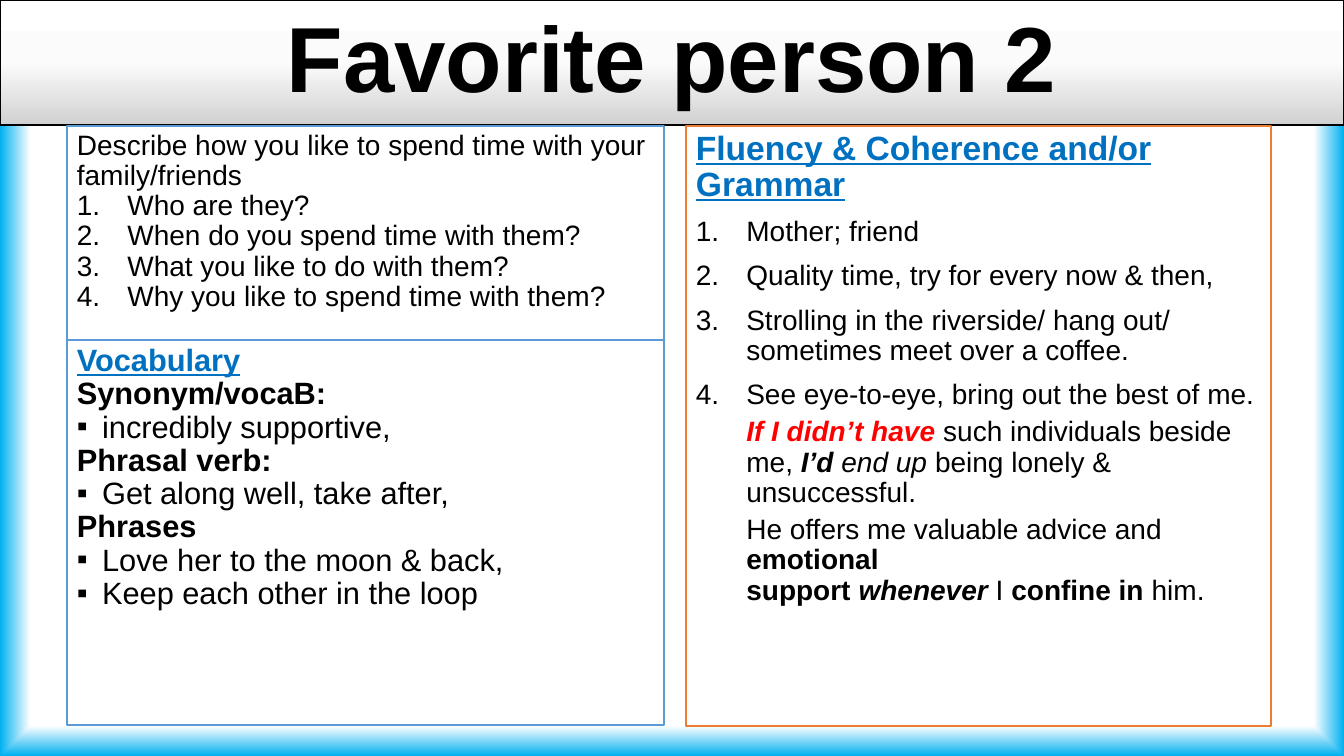
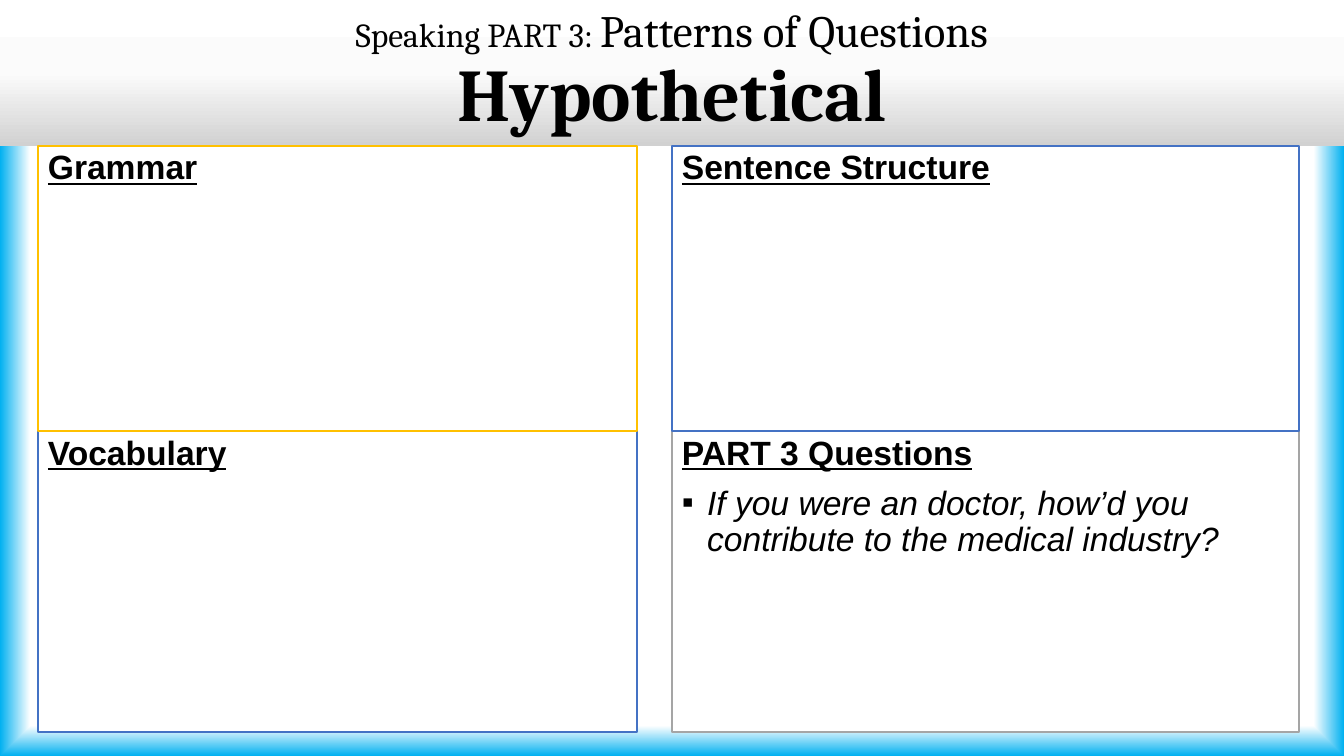
from lxml import etree
from pptx import Presentation
from pptx import util as u
from pptx.dml.color import RGBColor
from pptx.enum import shapes, text
from pptx.oxml.ns import qn

PX = 914400 / 100.8
W, H = 1344, 756
BLACK, WHITE, BLUE, RED = "000000", "FFFFFF", "0070C0", "FF0000"
SKY, ORANGE, GOLD, NAVY, GRAY = "5B9BD5", "ED7D31", "FFC000", "4472C4", "A5A5A5"
EDGE_GLOW = [(92, WHITE), (100, "00B0F0")]
BAND_FADE = [(0, WHITE), (50, "FBFBFB"), (100, "D1D1D1")]

INDENTS = {"plain": (0, 0), "number": (50, -50), "square": (25, -25), "inset": (50, 0)}
HEADING = dict(bold=True, underline=True)


def heading(label, size=24, color=BLACK):
    return "plain", [(label, dict(HEADING, size=size, color=color))]


def listing(kind, *lines, **fmt):
    return [(kind, [(line, fmt)]) for line in lines]


B, I, BI = dict(bold=True), dict(italic=True), dict(bold=True, italic=True)

SLIDES = [
    dict(
        band=dict(height=125, line=BLACK, runs=[("Favorite person 2", dict(size=66, bold=True))]),
        panels=[
            dict(box=(67, 126, 597, 214), line=SKY, size=20, before=0, paragraphs=[
                *listing("plain", "Describe how you like to spend time with your family/friends"),
                *listing("number", "Who are they?", "When do you spend time with them?",
                         "What you like to do with them?", "Why you like to spend time with them?"),
            ]),
            dict(box=(686, 126, 585, 600), line=ORANGE, size=20, before=10, paragraphs=[
                heading("Fluency & Coherence and/or Grammar", color=BLUE),
                *listing("number", "Mother; friend", "Quality time, try for every now & then,",
                         "Strolling in the riverside/ hang out/ sometimes meet over a coffee.",
                         "See eye-to-eye, bring out the best of me."),
                ("inset", [("If I didn’t have ", dict(BI, color=RED)),
                           ("such individuals beside me, ", {}), ("I’d ", BI),
                           ("end up ", I), ("being lonely & unsuccessful.", {})]),
                ("inset", [("He offers me valuable advice and ", {}),
                           ("emotional\nsupport ", B), ("whenever", BI), (" I ", {}),
                           ("confine in ", B), ("him.", {})]),
            ]),
            dict(box=(67, 340, 597, 385), line=SKY, size=22, before=0, paragraphs=[
                heading("Vocabulary", 22, BLUE),
                *listing("plain", "Synonym/vocaB:", bold=True),
                *listing("square", "incredibly supportive,"),
                *listing("plain", "Phrasal verb:", bold=True),
                *listing("square", "Get along well, take after,"),
                *listing("plain", "Phrases", bold=True),
                *listing("square", "Love her to the moon & back,", "Keep each other in the loop"),
            ]),
        ],
    ),
    dict(
        band=dict(height=146, line=None, font="Cambria", runs=[
            ("Speaking PART 3: ", dict(size=24)),
            ("Patterns of Questions\n", dict(size=32)),
            ("Hypothetical", dict(size=53, bold=True)),
        ]),
        panels=[
            dict(box=(38, 431, 599, 301), line=NAVY, paragraphs=[heading("Vocabulary")]),
            dict(box=(672, 431, 627, 301), line=GRAY, paragraphs=[
                heading("PART 3 Questions"),
                *listing("square", "If you were an doctor, how’d you contribute to the medical industry?",
                         italic=True),
            ]),
            dict(box=(38, 146, 599, 285), line=GOLD, paragraphs=[heading("Grammar")]),
            dict(box=(672, 146, 627, 285), line=NAVY, paragraphs=[heading("Sentence Structure")]),
        ],
    ),
]


def px(n):
    return u.Emu(round(n * PX))


def rgb(value):
    return RGBColor.from_string(value)


def set_gradient(fill, owner, stops, angle=None):
    fill.gradient()
    grad = next(owner.iter(qn("a:gradFill")))
    for child in list(grad):
        grad.remove(child)
    stop_list = etree.SubElement(grad, qn("a:gsLst"))
    for position, color in stops:
        stop = etree.SubElement(stop_list, qn("a:gs"), pos=str(position * 1000))
        etree.SubElement(stop, qn("a:srgbClr"), val=color)
    if angle is None:
        shade = etree.SubElement(grad, qn("a:path"), path="rect")
        etree.SubElement(shade, qn("a:fillToRect"), {side: "50000" for side in "ltrb"})
    else:
        etree.SubElement(grad, qn("a:lin"), ang=str(angle * 60000), scaled="0")


def add_text(p, content, size=20, color=BLACK, font="Arial", bold=False, italic=False, underline=False):
    for i, line in enumerate(content.split("\n")):
        if i:
            p.add_line_break()
        if line:
            r = p.add_run()
            r.text = line
            f = r.font
            f.size, f.name, f.bold, f.italic, f.underline = u.Pt(size), font, bold, italic, underline
            f.color.rgb = rgb(color)


def set_bullet(p, kind):
    pPr = p._p.get_or_add_pPr()
    left, first = INDENTS[kind]
    pPr.set("marL", str(u.Inches(left / 100)))
    pPr.set("indent", str(u.Inches(first / 100)))
    if kind == "number":
        etree.SubElement(pPr, qn("a:buFont"), typeface="+mj-lt")
        etree.SubElement(pPr, qn("a:buAutoNum"), type="arabicPeriod")
    elif kind == "square":
        etree.SubElement(pPr, qn("a:buFont"), typeface="Arial")
        etree.SubElement(pPr, qn("a:buChar"), char="▪")


def add_box(slide, box, line):
    sp = slide.shapes.add_shape(shapes.MSO_SHAPE.RECTANGLE, *map(px, box))
    sp.shadow.inherit = False
    if line:
        sp.line.color.rgb = rgb(line)
        sp.line.width = u.Pt(1)
    else:
        sp.line.fill.background()
    sp.text_frame.word_wrap = True
    return sp


def add_band(slide, height, line, runs, font="Arial"):
    sp = add_box(slide, (0, 0, W, height), line)
    set_gradient(sp.fill, sp.element, BAND_FADE, 90)
    tf = sp.text_frame
    tf.vertical_anchor = text.MSO_ANCHOR.MIDDLE
    p = tf.paragraphs[0]
    p.alignment = text.PP_ALIGN.CENTER
    p.line_spacing = 0.9
    for content, fmt in runs:
        add_text(p, content, font=font, **fmt)


def add_panel(slide, box, line, paragraphs, size=24, before=10):
    sp = add_box(slide, box, line)
    sp.fill.solid()
    sp.fill.fore_color.rgb = rgb(WHITE)
    tf = sp.text_frame
    tf.vertical_anchor = text.MSO_ANCHOR.TOP
    for i, (kind, runs) in enumerate(paragraphs):
        p = tf.add_paragraph() if i else tf.paragraphs[0]
        p.alignment = text.PP_ALIGN.LEFT
        p.line_spacing = 0.9
        p.space_before = u.Pt(before / 2 if kind == "inset" else before)
        if kind == "inset":
            p.level = 1
        set_bullet(p, kind)
        for content, fmt in runs:
            add_text(p, content, **{"size": size, **fmt})


def main():
    prs = Presentation()
    prs.slide_width, prs.slide_height = px(W), px(H)
    master = prs.slide_master
    set_gradient(master.background.fill, master.element, EDGE_GLOW)
    for content in SLIDES:
        slide = prs.slides.add_slide(prs.slide_layouts[6])
        add_band(slide, **content["band"])
        for panel in content["panels"]:
            add_panel(slide, **panel)
    prs.save("out.pptx")


if __name__ == "__main__":
    main()
